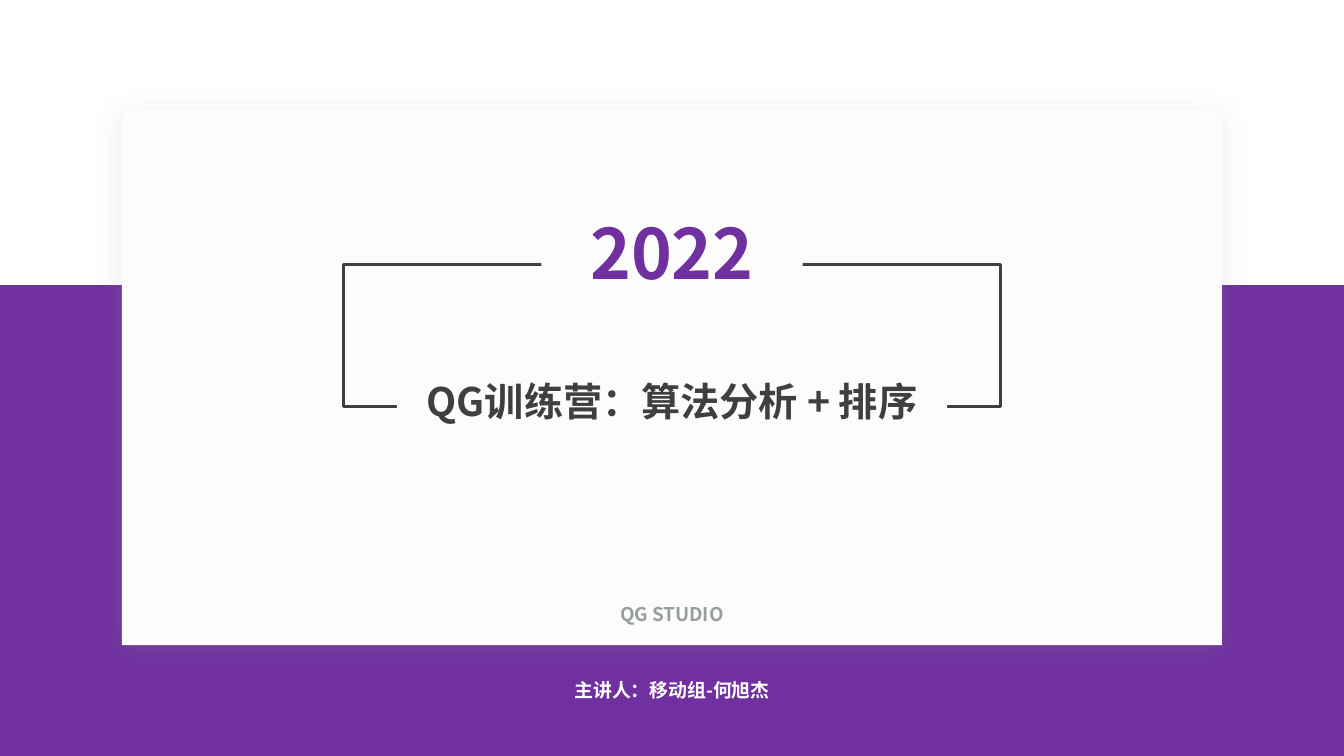
from lxml import etree
from pptx import Presentation
from pptx.dml.color import RGBColor
from pptx.enum.shapes import MSO_SHAPE
from pptx.enum.text import MSO_ANCHOR, MSO_AUTO_SIZE, PP_ALIGN
from pptx.oxml.ns import qn
from pptx.util import Inches, Pt

RECTANGLE = MSO_SHAPE.RECTANGLE
TOP = MSO_ANCHOR.TOP
CENTER = PP_ALIGN.CENTER
NO_AUTOFIT = MSO_AUTO_SIZE.NONE

WIDTH, HEIGHT = 13.33, 7.5
TITLE_ONLY = 5
FONT = "Noto Sans CJK JP"
PURPLE, PAPER, INK, GRAY, WHITE = "7030A0", "FCFCFD", "3F403E", "969F98", "FFFFFF"


def color(value):
    return RGBColor.from_string(value)


def centered(width, top, height):
    """Bounds of a box centred across the slide."""
    return [Inches(n) for n in ((WIDTH - width) / 2, top, width, height)]


def add_panel(page, bounds, fill=None, line=None):
    panel = page.shapes.add_shape(RECTANGLE, *bounds)
    panel.shadow.inherit = False
    if fill:
        panel.fill.solid()
        panel.fill.fore_color.rgb = color(fill)
    else:
        panel.fill.background()
    if line:
        panel.line.color.rgb = color(line)
        panel.line.width = Pt(2)
    else:
        panel.line.fill.background()
    return panel


def add_soft_shadow(shape, tint):
    effects = shape.element.spPr.find(qn("a:effectLst"))
    shadow = etree.SubElement(effects, qn("a:outerShdw"), blurRad=str(Pt(20)),
                              dist=str(Pt(3)), dir="5400000", algn="t", rotWithShape="0")
    shade = etree.SubElement(shadow, qn("a:srgbClr"), val=tint)
    etree.SubElement(shade, qn("a:alpha"), val="20000")


def write(box, text, size, tint):
    """Put one centred bold line into a box."""
    frame = box.text_frame
    frame_format = {"word_wrap": True, "auto_size": NO_AUTOFIT, "vertical_anchor": TOP,
                    "margin_left": 0, "margin_right": 0,
                    "margin_top": Inches(0.05), "margin_bottom": Inches(0.05)}
    for name, value in frame_format.items():
        setattr(frame, name, value)
    para = frame.paragraphs[0]
    para.alignment = CENTER
    para.line_spacing = 0.88
    span = para.add_run()
    span.text = text
    for name, value in {"name": FONT, "size": Pt(size), "bold": True}.items():
        setattr(span.font, name, value)
    span.font.color.rgb = color(tint)
    etree.SubElement(span.font._element, qn("a:ea"), typeface=FONT)


def add_label(page, bounds, text, size, tint):
    write(page.shapes.add_textbox(*bounds), text, size, tint)


def place_title(page, bounds, text, size, tint, fill):
    """Move the title placeholder above the panels and fill it."""
    title = page.shapes.title
    title.element.getparent().append(title.element)
    for name, value in zip(("left", "top", "width", "height"), bounds):
        setattr(title, name, value)
    title.fill.solid()
    title.fill.fore_color.rgb = color(fill)
    write(title, text, size, tint)


def main():
    deck = Presentation()
    deck.slide_width, deck.slide_height = Inches(WIDTH), Inches(HEIGHT)
    page = deck.slides.add_slide(deck.slide_layouts[TITLE_ONLY])

    # Purple band, paper card and outline frame
    add_panel(page, centered(WIDTH, 2.83, HEIGHT - 2.83), fill=PURPLE)
    card = add_panel(page, centered(10.91, 1.09, 5.31), fill=PAPER)
    add_soft_shadow(card, GRAY)
    add_panel(page, centered(6.52, 2.62, 1.41), line=INK)

    # Title and year interrupt the frame
    place_title(page, centered(5.46, 3.75, 0.93), "QG训练营：算法分析 + 排序", 28, INK, PAPER)
    year = add_panel(page, centered(2.59, 2.14, 0.93), fill=PAPER)
    write(year, "2022", 49.5, PURPLE)

    # Speaker and studio
    add_label(page, centered(3.02, 6.71, 0.33), "主讲人：移动组-何旭杰", 13.5, WHITE)
    add_label(page, centered(1.73, 5.96, 0.33), "QG STUDIO", 13.5, GRAY)

    deck.save("out.pptx")


if __name__ == "__main__":
    main()
